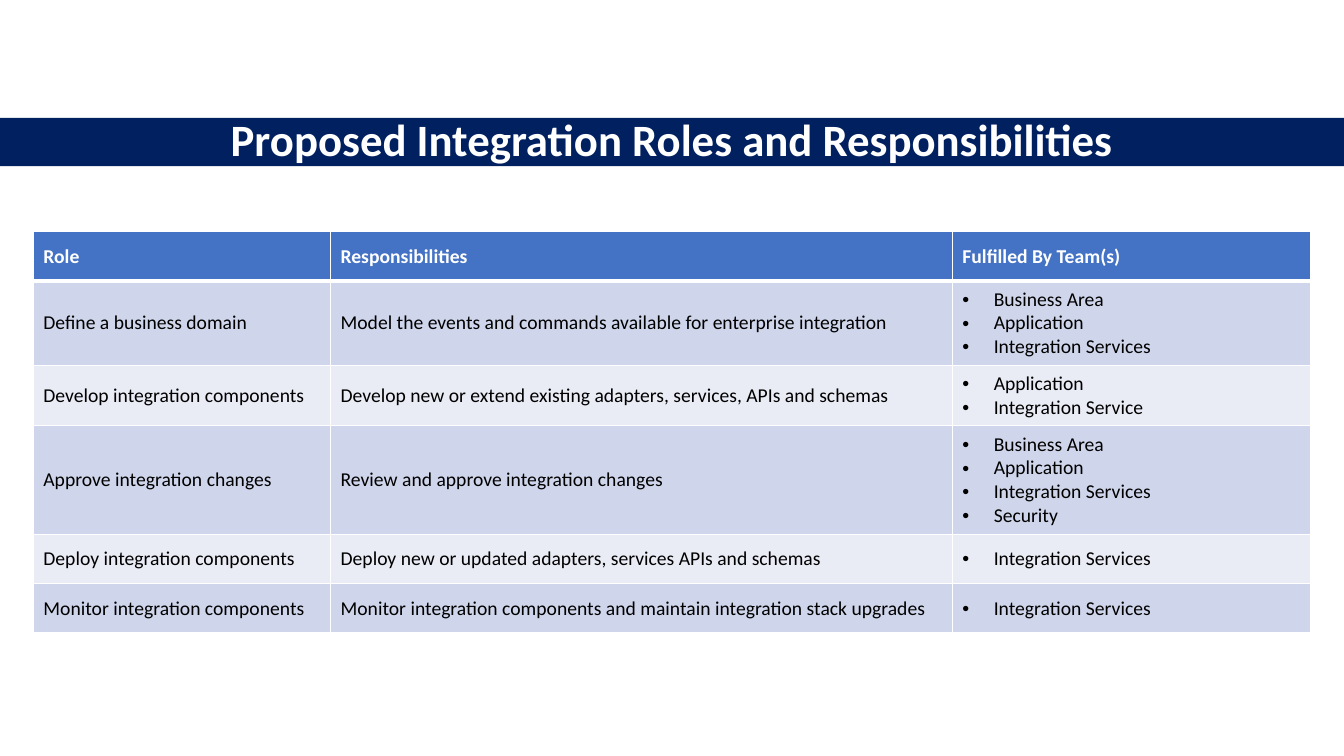
from dataclasses import dataclass
from lxml.etree import SubElement
from pptx import Presentation
from pptx.dml.color import RGBColor as Rgb
from pptx.enum.text import MSO_ANCHOR as Anchor, MSO_AUTO_SIZE as Auto, PP_ALIGN as Align
from pptx.oxml.ns import qn
from pptx.util import Cm, Pt


@dataclass(frozen=True)
class Theme:
    font: str = "Calibri"
    navy: str = "002060"
    blue: str = "4472C4"
    bands: tuple = ("CFD5EA", "E9EBF5")
    white: str = "FFFFFF"
    black: str = "000000"
    title: int = 32
    body: int = 14


THEME = Theme()
TITLE = "Proposed Integration Roles and Responsibilities"
HEADS = ("Role", "Responsibilities", "Fulfilled By Team(s)")
ROLES = (
    ("Define a business domain",
     "Model the events and commands available for enterprise integration",
     ("Business Area", "Application", "Integration Services")),
    ("Develop integration components",
     "Develop new or extend existing adapters, services, APIs and schemas",
     ("Application", "Integration Service")),
    ("Approve integration changes",
     "Review and approve integration changes",
     ("Business Area", "Application", "Integration Services", "Security")),
    ("Deploy integration components",
     "Deploy new or updated adapters, services APIs and schemas",
     ("Integration Services",)),
    ("Monitor integration components",
     "Monitor integration components and maintain integration stack upgrades",
     ("Integration Services",)),
)


def write(frame, text, size=THEME.body, color=THEME.black, bold=False,
          align=Align.LEFT, spacing=None, bullet=False):
    """Fill a text frame with one line, or with one paragraph per item."""
    lines = (text,) if isinstance(text, str) else text
    for i, line in enumerate(lines):
        par = frame.add_paragraph() if i else frame.paragraphs[0]
        par.alignment = align
        if spacing:
            par.line_spacing = spacing
        if bullet:
            props = par._p.get_or_add_pPr()
            props.set("marL", str(Cm(0.79)))
            props.set("indent", str(-Cm(0.79)))
            SubElement(props, qn("a:buFont"), typeface="Arial")
            SubElement(props, qn("a:buChar"), char="•")
        run = par.add_run()
        run.text = line
        font = run.font
        font.name, font.size, font.bold = THEME.font, Pt(size), bold
        font.color.rgb = Rgb.from_string(color)


def edge(cell, **widths):
    """Draw white cell borders; widths are points keyed L, R, T and B."""
    props = cell._tc.get_or_add_tcPr()
    for side in "LRTB":
        line = SubElement(props, qn(f"a:ln{side}"), w=str(Pt(widths.get(side, 1))))
        fill = SubElement(line, qn("a:solidFill"))
        SubElement(fill, qn("a:srgbClr"), val=THEME.white)


def banner(slide, left, top, width, height):
    shape = slide.shapes.title
    shape.left, shape.top, shape.width, shape.height = left, top, width, height
    shape.fill.solid()
    shape.fill.fore_color.rgb = Rgb.from_string(THEME.navy)
    frame = shape.text_frame
    frame.margin_left = frame.margin_right = frame.margin_top = frame.margin_bottom = 0
    frame.word_wrap, frame.auto_size = True, Auto.NONE
    frame.vertical_anchor = Anchor.MIDDLE
    write(frame, TITLE, size=THEME.title, color=THEME.white, bold=True,
          align=Align.CENTER, spacing=0.9)


def matrix(slide, left, top, width):
    """Place the roles table, each row as tall as its list of teams needs."""
    highs = [Cm(1.24)] + [max(Cm(1.24), Cm(0.3 + 0.61 * len(teams)))
                          for _, _, teams in ROLES]
    table = slide.shapes.add_table(len(highs), len(HEADS), left, top,
                                   width, sum(highs)).table
    role, team = Cm(7.49), Cm(9.02)
    for col, wide in zip(table.columns, (role, width - role - team, team)):
        col.width = wide
    for r, (high, texts) in enumerate(zip(highs, (HEADS, *ROLES))):
        table.rows[r].height = high
        head = r == 0
        shade = THEME.blue if head else THEME.bands[(r - 1) % 2]
        for c, text in enumerate(texts):
            cell = table.cell(r, c)
            edge(cell, T=3 if r == 1 else 1, B=3 if head else 1)
            cell.fill.solid()
            cell.fill.fore_color.rgb = Rgb.from_string(shade)
            cell.vertical_anchor = Anchor.MIDDLE
            write(cell.text_frame, text, bold=head,
                  color=THEME.white if head else THEME.black,
                  bullet=not isinstance(text, str))


def main():
    deck = Presentation()
    deck.slide_width, deck.slide_height = Cm(33.87), Cm(19.05)
    slide = deck.slides.add_slide(deck.slide_layouts[5])
    banner(slide, 0, Cm(2.97), deck.slide_width, Cm(1.22))
    matrix(slide, Cm(0.84), Cm(5.84), Cm(32.18))
    deck.save("out.pptx")


if __name__ == "__main__":
    main()
